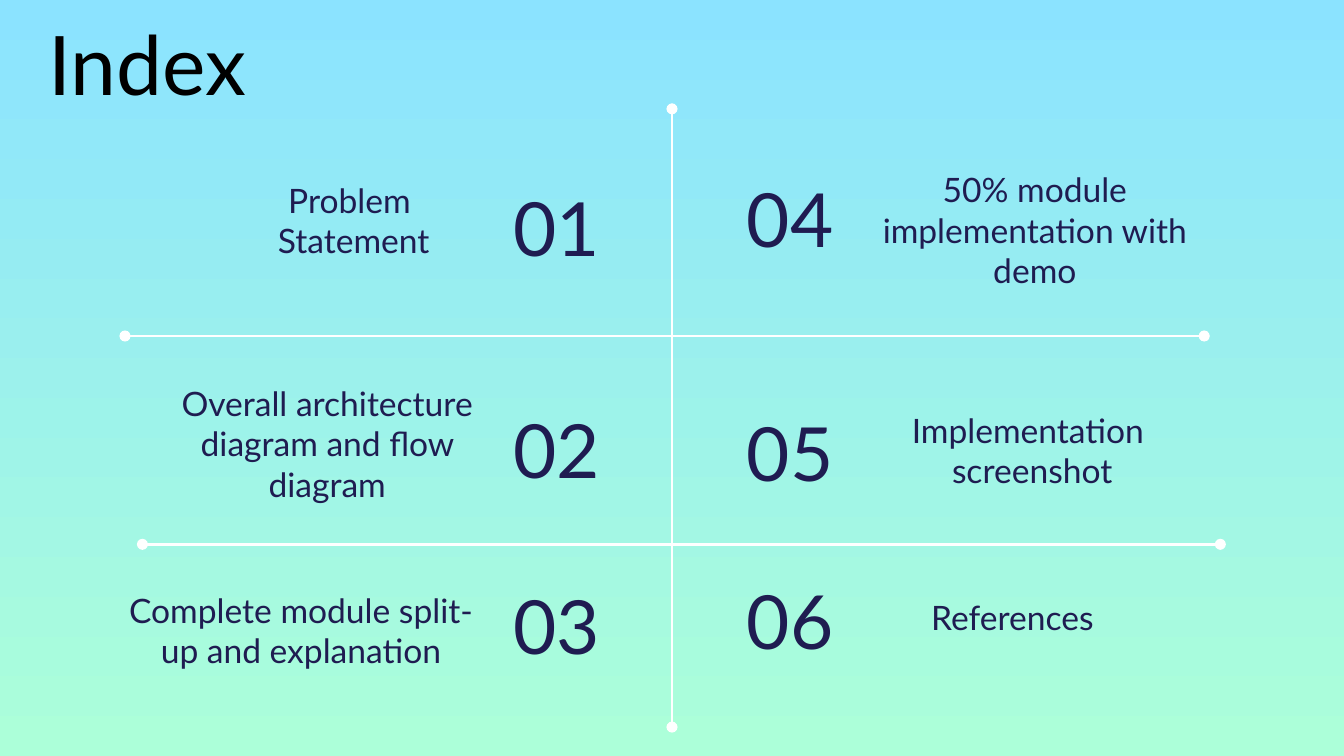
from lxml.etree import SubElement
from pptx import Presentation
from pptx.dml.color import RGBColor
from pptx.enum.shapes import MSO_CONNECTOR
from pptx.enum.text import MSO_ANCHOR, PP_ALIGN
from pptx.oxml.ns import qn
from pptx.util import Inches, Pt

THEME = {
    "font": "Lato",
    "top": RGBColor.from_string("8BE3FF"),
    "bottom": RGBColor.from_string("ACFFD9"),
    "ink": RGBColor.from_string("1F1C51"),
    "title": RGBColor.from_string("000000"),
    "rule": RGBColor.from_string("FFFFFF"),
    "title_size": Pt(44),
    "number_size": Pt(40),
    "topic_size": Pt(18),
    "rule_width": Pt(1.5),
}

LEFT, CENTER, RIGHT = PP_ALIGN.LEFT, PP_ALIGN.CENTER, PP_ALIGN.RIGHT
NUMBER_SIZE = (1.3, 0.86)
TOPIC_HEIGHT = 0.5

# Each column: number left, number alignment, and its entries as
# (number top, topic, topic left, topic top, topic width, topic alignment)
COLUMNS = [
    (3.72, LEFT, [
        (1.26, "Problem\v Statement", 1.11, 1.54, 2.98, CENTER),
        (2.91, "Overall architecture diagram and flow diagram", 0.93, 3.35, 3.01, CENTER),
        (4.22, "Complete module split-up and explanation", 0.75, 4.59, 2.98, CENTER),
    ]),
    (5, RIGHT, [
        (1.19, "50% module implementation with demo", 6.21, 1.76, 2.98, CENTER),
        (2.93, "Implementation \vscreenshot", 5.92, 3.25, 3.52, CENTER),
        (4.18, "References", 6.83, 4.34, 2.98, LEFT),
    ]),
]

# Grid rules: start x, start y, end x, end y
RULES = [
    (5, 0.81, 5, 5.41),
    (0.93, 2.5, 8.96, 2.5),
    (1.06, 4.05, 9.08, 4.05),
]


def add_text(slide, text, box, size, color, alignment, anchor, inset=0.1):
    frame = slide.shapes.add_textbox(*map(Inches, box)).text_frame
    frame_format = {
        "word_wrap": True, "vertical_anchor": anchor,
        "margin_left": Inches(0.1), "margin_right": Inches(0.1),
        "margin_top": Inches(inset), "margin_bottom": Inches(inset),
    }
    for name, value in frame_format.items():
        setattr(frame, name, value)
    paragraph = frame.paragraphs[0]
    paragraph.text = text
    paragraph.alignment = alignment
    for run in paragraph.runs:
        for name, value in {"name": THEME["font"], "size": size}.items():
            setattr(run.font, name, value)
        run.font.color.rgb = color


def add_rule(slide, ends):
    rule = slide.shapes.add_connector(MSO_CONNECTOR.STRAIGHT, *map(Inches, ends))
    rule.line.color.rgb = THEME["rule"]
    rule.line.width = THEME["rule_width"]
    line = rule.line._get_or_add_ln()
    for end in ("a:headEnd", "a:tailEnd"):
        SubElement(line, qn(end), type="oval")
    SubElement(rule._element.spPr, qn("a:effectLst"))


def main():
    # Widescreen, 16 to 9
    presentation = Presentation()
    presentation.slide_width = Inches(10)
    presentation.slide_height = Inches(10) * 9 // 16
    slide = presentation.slides.add_slide(presentation.slide_layouts[6])

    # Background, top to bottom
    fill = slide.background.fill
    fill.gradient()
    fill.gradient_angle = 270
    for stop, name in zip(fill.gradient_stops, ("top", "bottom")):
        stop.color.rgb = THEME[name]

    # Grid
    for ends in RULES:
        add_rule(slide, ends)

    # Numbered topics
    number = 0
    for number_left, number_alignment, entries in COLUMNS:
        for number_top, topic, left, top, width, alignment in entries:
            number += 1
            add_text(slide, f"{number:02d}", (number_left, number_top, *NUMBER_SIZE),
                     THEME["number_size"], THEME["ink"], number_alignment, MSO_ANCHOR.MIDDLE)
            add_text(slide, topic, (left, top, width, TOPIC_HEIGHT),
                     THEME["topic_size"], THEME["ink"], alignment, MSO_ANCHOR.BOTTOM)

    # Heading
    add_text(slide, "Index", (0.26, 0.05, 5, 0.84), THEME["title_size"],
             THEME["title"], LEFT, MSO_ANCHOR.TOP, inset=0.05)

    presentation.save("out.pptx")


if __name__ == "__main__":
    main()
